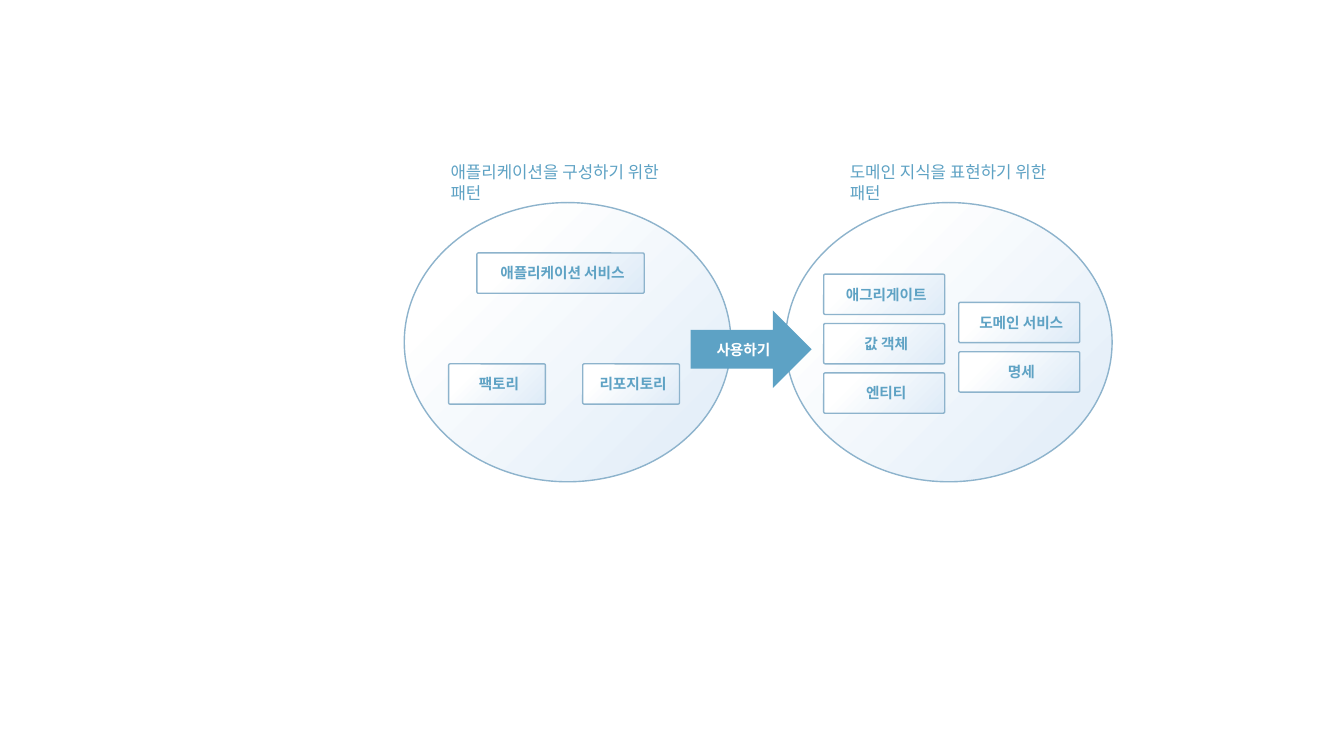
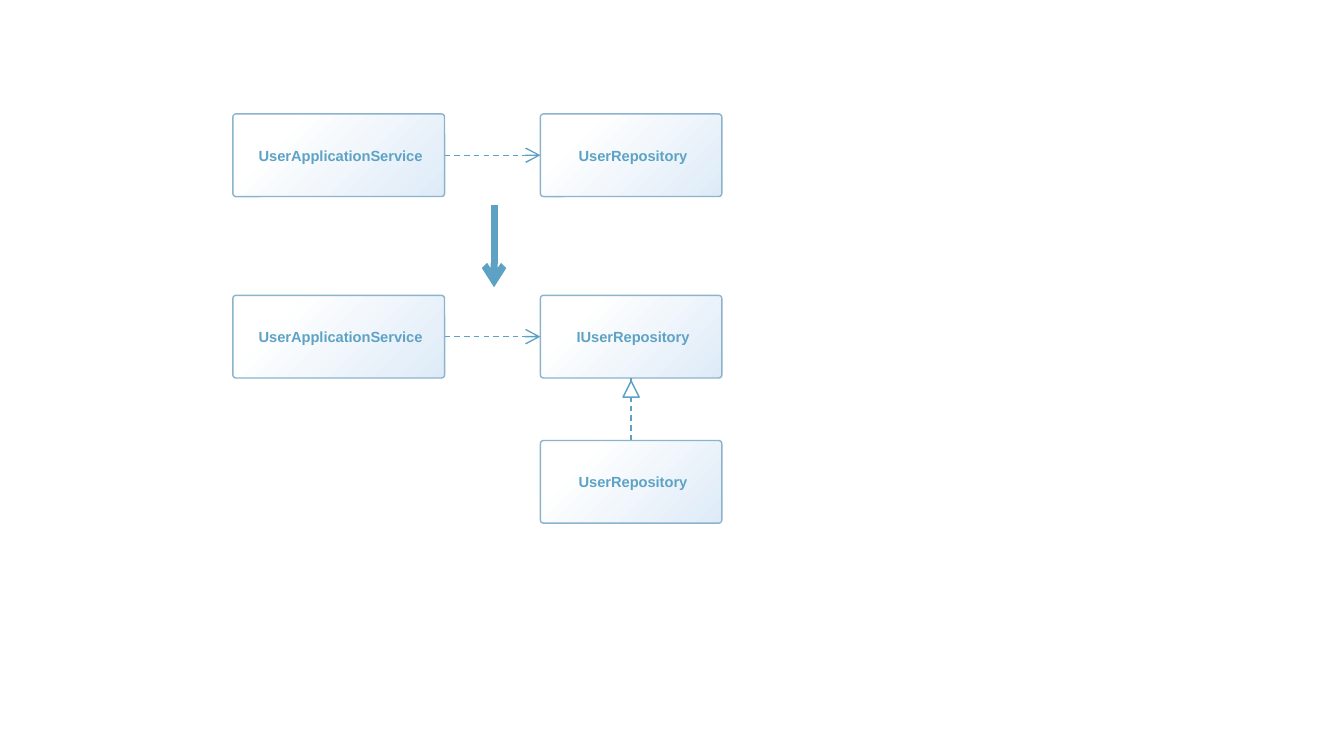
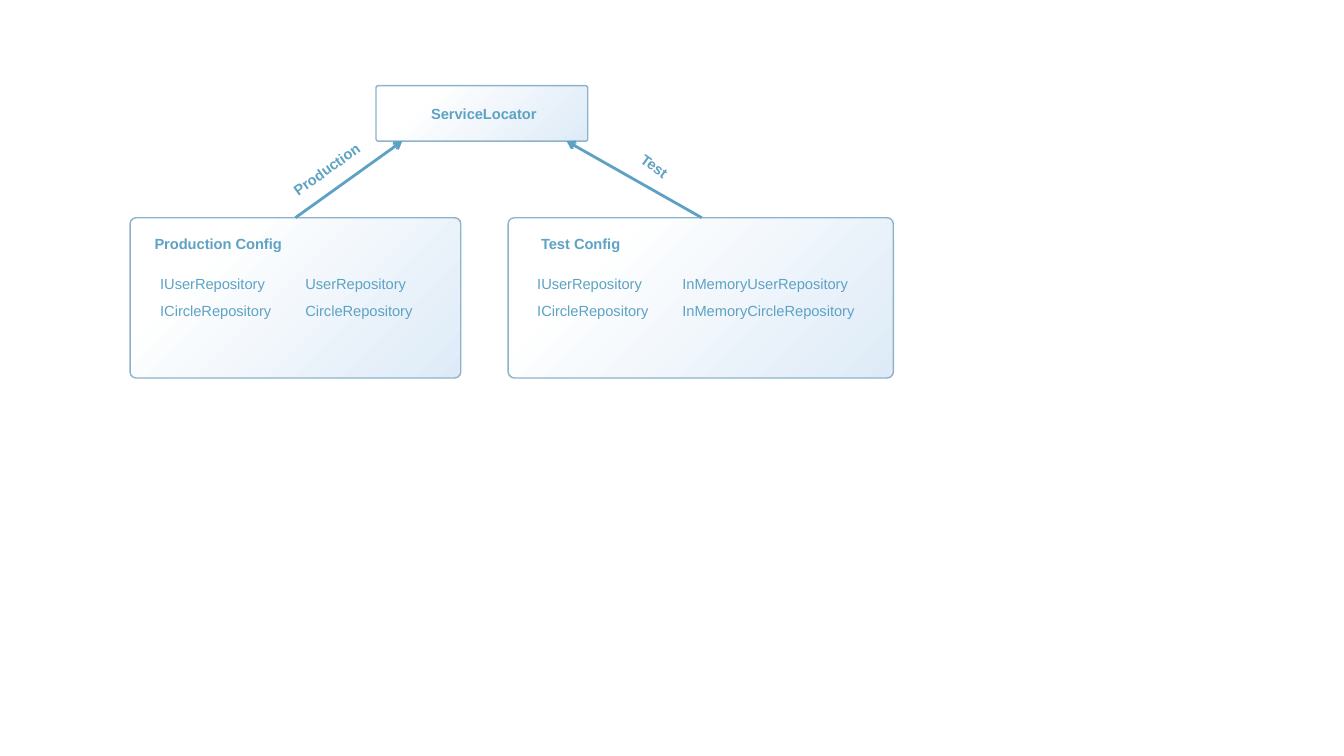
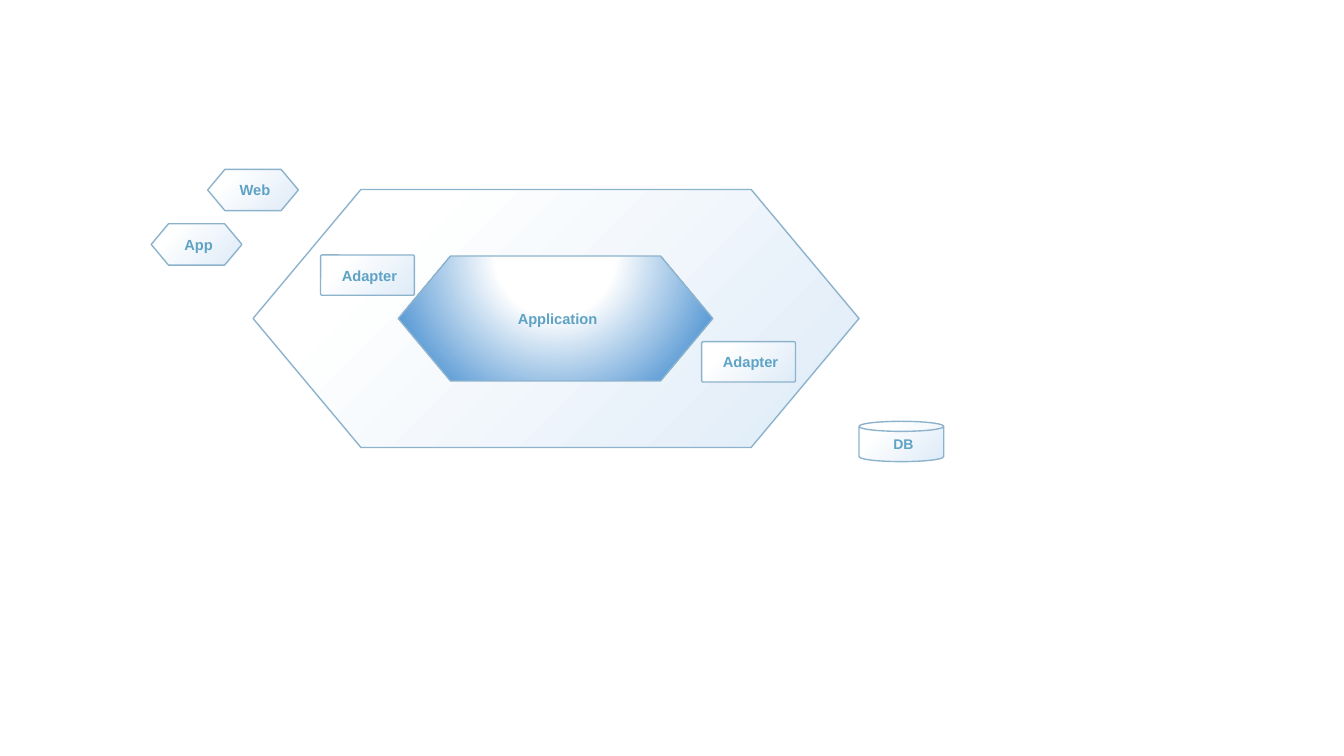
from pptx import Presentation
from pptx.dml.color import RGBColor
from pptx.enum.dml import MSO_LINE
from pptx.enum.shapes import MSO_CONNECTOR, MSO_SHAPE
from pptx.enum.text import MSO_ANCHOR, PP_ALIGN
from pptx.oxml import parse_xml
from pptx.oxml.ns import nsdecls, qn
from pptx.util import Inches, Pt

STRAIGHT = MSO_CONNECTOR.STRAIGHT
DASH = MSO_LINE.DASH
OVAL = MSO_SHAPE.OVAL
BOX = MSO_SHAPE.ROUNDED_RECTANGLE
HEXAGON = MSO_SHAPE.HEXAGON
CAN = MSO_SHAPE.CAN
RIGHT_ARROW = MSO_SHAPE.RIGHT_ARROW
TRIANGLE = MSO_SHAPE.ISOSCELES_TRIANGLE
MIDDLE = MSO_ANCHOR.MIDDLE
LEFT, CENTER = PP_ALIGN.LEFT, PP_ALIGN.CENTER

FONT = "Arial"
COLORS = {name: RGBColor.from_string(value) for name, value in {
    "white": "FFFFFF",
    "pale": "DEEBF7",
    "core": "5B9BD5",
    "outline": "8DB3CC",
    "arrow": "5DA2C5",
    "text": "5EA2C4",
}.items()}
ADJUSTMENTS = {BOX: 0.038, HEXAGON: 0.418}


def add_item(s, kind, at, text="", size=10.5, bold=True, align=CENTER, color="text"):
    """Add a shaded shape with a centred label, or a text box if kind is None."""
    at = [Inches(v) for v in at]
    if kind is None:
        sp = s.shapes.add_textbox(*at)
    else:
        sp = s.shapes.add_shape(kind, *at)
        sp.shadow.inherit = False
        if kind in ADJUSTMENTS:
            sp.adjustments[0] = ADJUSTMENTS[kind]
        sp.fill.gradient()
        sp.fill.gradient_angle = 315
        start, end = sp.fill.gradient_stops
        start.position, start.color.rgb = 0.21, COLORS["white"]
        end.position, end.color.rgb = 1, COLORS["pale"]
        sp.line.color.rgb = COLORS["outline"]
        sp.line.width = Pt(1)
    tf = sp.text_frame
    tf.word_wrap = align == LEFT
    if kind is not None:
        tf.margin_left = Inches(0.04)
        tf.margin_right = tf.margin_top = tf.margin_bottom = 0
        tf.vertical_anchor = MIDDLE
    if text:
        tf.text = text
        for p in tf.paragraphs:
            p.alignment = align
            for r in p.runs:
                r.font.name = FONT
                r.font.size = Pt(size)
                r.font.bold = bold
                r.font.color.rgb = COLORS[color]
    return sp


def add_line(s, start, end, width, dash=None, head="med"):
    """Add a straight line; head is the arrowhead size at its end, or None."""
    ln = s.shapes.add_connector(STRAIGHT, *[Inches(v) for v in (*start, *end)])
    ln.line.color.rgb = COLORS["arrow"]
    ln.line.width = Pt(width)
    if dash:
        ln.line.dash_style = dash
    if head:
        ln.line._get_or_add_ln().append(parse_xml(
            f'<a:tailEnd {nsdecls("a")} type="arrow" w="{head}" len="{head}"/>'))
    ln._element.spPr.append(parse_xml(f'<a:effectLst {nsdecls("a")}/>'))
    return ln


prs = Presentation()
prs.slide_width, prs.slide_height = Inches(13.33), Inches(7.5)
blank = prs.slide_layouts[6]

# Slide 1: application and domain patterns
s = prs.slides.add_slide(blank)
for x in (4.01, 7.79):
    add_item(s, OVAL, (x, 2.01, 3.24, 2.77))
for x, y, w, text in (
    (4.73, 2.51, 1.66, "애플리케이션 서비스"),
    (4.45, 3.61, 0.96, "팩토리"),
    (5.78, 3.61, 0.96, "리포지토리"),
):
    add_item(s, BOX, (x, y, w, 0.4), text)
for x, top, names in (
    (8.17, 2.72, ("애그리게이트", "값 객체", "엔티티")),
    (9.51, 3.0, ("도메인 서비스", "명세")),
):
    for i, name in enumerate(names):
        add_item(s, BOX, (x, top + 0.49 * i, 1.2, 0.4), name)
use_arrow = add_item(s, RIGHT_ARROW, (6.85, 3.08, 1.2, 0.77), "사용하기", color="white")
use_arrow.fill.solid()
use_arrow.fill.fore_color.rgb = COLORS["arrow"]
use_arrow.line.fill.background()
for x, w, text in (
    (4.37, 2.43, "애플리케이션을 구성하기 위한 패턴"),
    (8.33, 2.36, "도메인 지식을 표현하기 위한 패턴"),
):
    add_item(s, None, (x, 1.56, w, 0.5), text, 12, False, LEFT)

# Slide 2: depending on the repository interface
s = prs.slides.add_slide(blank)
for y, name in ((1.13, "UserRepository"), (2.93, "IUserRepository")):
    service = add_item(s, BOX, (2.31, y, 2.1, 0.82), "UserApplicationService")
    repository = add_item(s, BOX, (5.36, y, 1.8, 0.82), name)
    ln = add_line(s, (4.41, y + 0.41), (5.36, y + 0.41), 1, DASH, "lg")
    ln.begin_connect(service, 3)
    ln.end_connect(repository, 1)
implementation = add_item(s, BOX, (5.36, 4.37, 1.8, 0.82), "UserRepository")
ln = add_line(s, (6.26, 4.37), (6.26, 3.75), 1, DASH, None)
ln.begin_connect(implementation, 0)
ln.end_connect(repository, 2)
triangle = add_item(s, TRIANGLE, (6.18, 3.78, 0.16, 0.16))
triangle.fill.solid()
triangle.fill.fore_color.rgb = COLORS["white"]
triangle.line.color.rgb = COLORS["arrow"]
add_line(s, (4.9, 2.03), (4.9, 2.85), 5)

# Slide 3: service locator configurations
s = prs.slides.add_slide(blank)
add_item(s, BOX, (3.73, 0.85, 2.1, 0.55), "ServiceLocator")
for x, w, title, title_x, title_w, list_x, implementations in (
    (1.29, 3.28, "Production Config", 1.41, 1.51, 1.49,
     "UserRepository\nCircleRepository"),
    (5.04, 3.82, "Test Config", 5.23, 1.06, 5.23,
     "InMemoryUserRepository\nInMemoryCircleRepository"),
):
    add_item(s, BOX, (x, 2.16, w, 1.59))
    add_item(s, None, (title_x, 2.28, title_w, 0.28), title)
    for column_x, column_w, names in (
        (list_x, 1.51, "IUserRepository\nICircleRepository"),
        (list_x + 1.44, 2.25, implementations),
    ):
        column = add_item(s, None, (column_x, 2.68, column_w, 0.5), names,
                          bold=False, align=LEFT)
        column.text_frame.paragraphs[1].line_spacing = 1.5
for start, end, at, angle, text in (
    ((2.93, 2.16), (3.99, 1.4), (2.75, 1.54, 0.98, 0.28), 324.6, "Production"),
    ((6.96, 2.16), (5.62, 1.4), (6.23, 1.51, 0.52, 0.28), 35.8, "Test"),
):
    add_line(s, start, end, 2)
    add_item(s, None, at, text).rotation = angle

# Slide 4: hexagonal architecture
s = prs.slides.add_slide(blank)
add_item(s, HEXAGON, (2.51, 1.88, 6.01, 2.56))
core = add_item(s, HEXAGON, (3.95, 2.54, 3.12, 1.24), "Application")
start, end = core.fill.gradient_stops
start.position, end.color.rgb = 0.35, COLORS["core"]
grad = core._element.spPr.find(qn("a:gradFill"))
grad.replace(grad.find(qn("a:lin")), parse_xml(
    f'<a:path {nsdecls("a")} path="circle">'
    '<a:fillToRect l="50000" t="-80000" r="50000" b="180000"/></a:path>'))
for kind, x, y, w, h, text, size in (
    (HEXAGON, 2.06, 1.68, 0.9, 0.41, "Web", 10.5),
    (HEXAGON, 1.5, 2.22, 0.9, 0.41, "App", 10.5),
    (BOX, 3.18, 2.53, 0.93, 0.4, "Adapter", 10.5),
    (BOX, 6.96, 3.39, 0.93, 0.4, "Adapter", 10.5),
    (CAN, 8.52, 4.18, 0.84, 0.4, "DB", 10),
):
    add_item(s, kind, (x, y, w, h), text, size)

prs.save("out.pptx")
